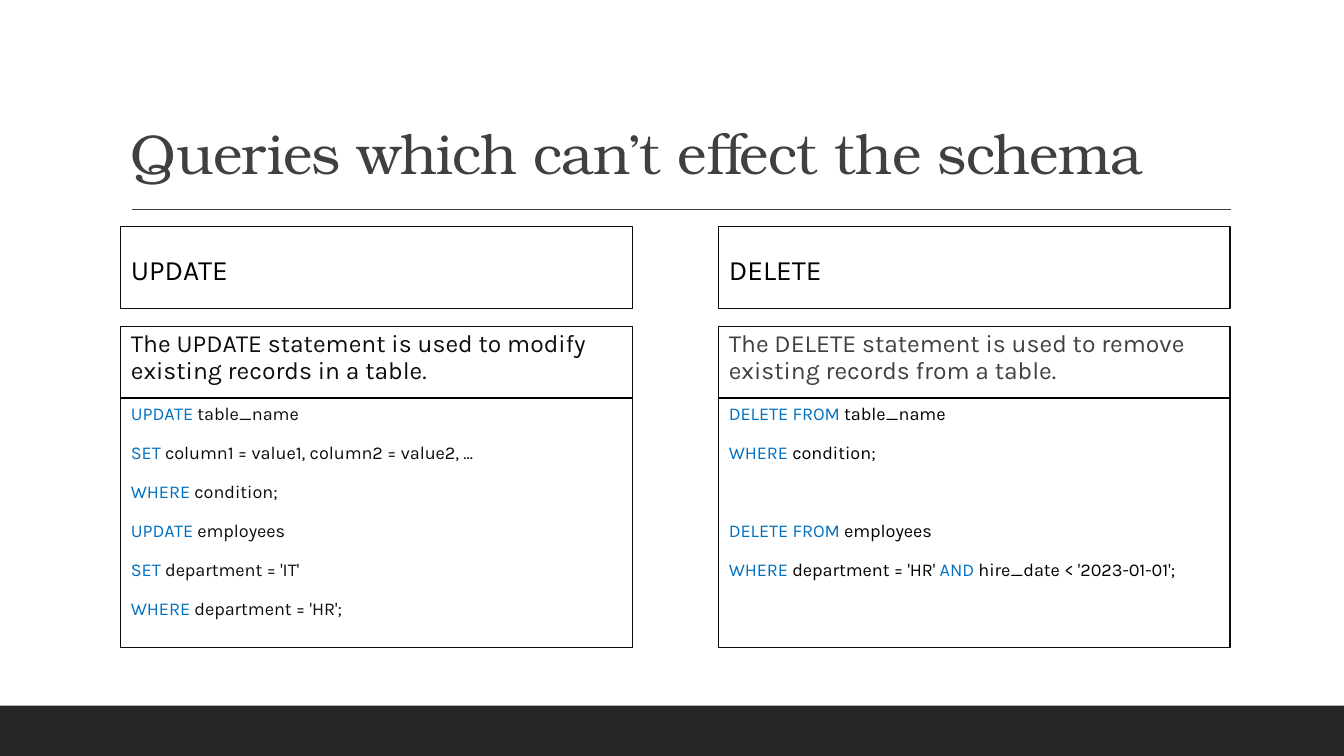
"""Builds a slide that sets the UPDATE and DELETE statements side by side."""
from lxml import etree
from pptx import Presentation
from pptx.dml.color import RGBColor
from pptx.enum.shapes import MSO_CONNECTOR, MSO_SHAPE
from pptx.enum.text import MSO_ANCHOR, PP_ALIGN
from pptx.oxml.ns import qn
from pptx.util import Inches, Pt

RECT = MSO_SHAPE.RECTANGLE
LINE = MSO_CONNECTOR.STRAIGHT
TOP, MIDDLE, BOTTOM = MSO_ANCHOR.TOP, MSO_ANCHOR.MIDDLE, MSO_ANCHOR.BOTTOM
LEFT = PP_ALIGN.LEFT

TITLE = "Queries which can’t effect the schema"
PANELS = [
    {
        "head": "UPDATE",
        "intro": "The UPDATE statement is used to modify existing records in a table.",
        "tone": "ink",
        "text": "ink",
        "code": [
            [("UPDATE", "key"), (" table_name", "text")],
            [("SET", "key"), (" column1 = value1, column2 = value2, ...", "text")],
            [("WHERE", "key"), (" condition;", "text")],
            [("UPDATE", "key"), (" employees", "text")],
            [("SET ", "key"), ("department = 'IT'", "text")],
            [("WHERE", "key"), (" department = 'HR';", "text")],
        ],
        "break": None,
    },
    {
        "head": "DELETE",
        "intro": "The DELETE statement is used to remove existing records from a table.",
        "tone": "gray",
        "text": "black",
        "code": [
            [("DELETE FROM ", "key"), ("table_name", "text")],
            [("WHERE ", "key"), ("condition;", "text")],
            [("DELETE FROM ", "key"), ("employees", "text")],
            [("WHERE ", "key"), ("department = 'HR'", "text"),
             (" AND ", "key"), ("hire_date < '2023-01-01';", "text")],
        ],
        "break": 2,
    },
]
COLORS = {"black": "000000", "ink": "0D0D0D", "gray": "404040",
          "key": "0070C0", "band": "262626", "white": "FFFFFF"}
SERIF, SANS = "TeX Gyre Bonum", "Karla"
EDGE, WIDE, STEP = 1.2, 5.07, 5.93
GAP, BREAK = 12, 40


def color(name):
    return RGBColor.from_string(COLORS[name])


def add_box(slide, area, fill=None, line=None):
    box = slide.shapes.add_shape(RECT, *map(Inches, area))
    box.shadow.inherit = False
    if fill:
        box.fill.solid()
        box.fill.fore_color.rgb = color(fill)
    else:
        box.fill.background()
    if line:
        box.line.color.rgb = color(line)
        box.line.width = Pt(0.75)
    else:
        box.line.fill.background()
    return box


def add_rule(slide, left, right, top, tone):
    rule = slide.shapes.add_connector(LINE, *map(Inches, (left, top, right, top)))
    rule.line.color.rgb = color(tone)
    rule.line.width = Pt(1)
    etree.SubElement(rule._element.spPr, qn("a:effectLst"))


def set_frame(shape, anchor, right=0.1):
    frame = shape.text_frame
    frame.word_wrap = True
    frame.vertical_anchor = anchor
    frame.margin_right = Inches(right)
    return frame


def write(para, parts, size, face, spacing, before=0, after=0):
    para.alignment = LEFT
    para.line_spacing = spacing
    para.space_before, para.space_after = Pt(before), Pt(after)
    for text, tone in parts:
        run = para.add_run()
        run.text = text
        run.font.size = Pt(size)
        run.font.name = face
        run.font.color.rgb = color(tone)


def add_panel(slide, left, panel):
    head = add_box(slide, (left, 2.25, WIDE, 0.81), line="ink")
    frame = set_frame(head, MIDDLE)
    write(frame.paragraphs[0], [(panel["head"], "black")], 20, SANS, 1.1, GAP, 2)

    body = add_box(slide, (left, 3.24, WIDE, 3.18), "white", "ink")
    frame = set_frame(body, TOP, 0)
    intro = [(panel["intro"], panel["tone"])]
    write(frame.paragraphs[0], intro, 17.6, SANS, 0.9, GAP, 2)
    for row, parts in enumerate(panel["code"]):
        before = BREAK if row == panel["break"] else GAP
        parts = [(text, panel.get(tone, tone)) for text, tone in parts]
        write(frame.add_paragraph(), parts, 12.9, SANS, 0.9, before, 2)
    add_rule(slide, left, left + WIDE, 3.95, "black")


def main():
    deck = Presentation()
    deck.slide_width, deck.slide_height = Inches(13.33), Inches(7.5)
    slide = deck.slides.add_slide(deck.slide_layouts[6])
    add_box(slide, (0, 7, 13.33, 0.5), "band")
    add_rule(slide, 1.31, 12.21, 2.08, "gray")

    title = slide.shapes.add_textbox(*map(Inches, (EDGE, 0.31, 11, 1.59)))
    para = set_frame(title, BOTTOM).paragraphs[0]
    write(para, [(TITLE, "gray")], 40, SERIF, 0.9)
    para.runs[0].font._element.set("spc", "-50")

    for index, panel in enumerate(PANELS):
        add_panel(slide, EDGE + index * STEP, panel)
    deck.save("out.pptx")


if __name__ == "__main__":
    main()
